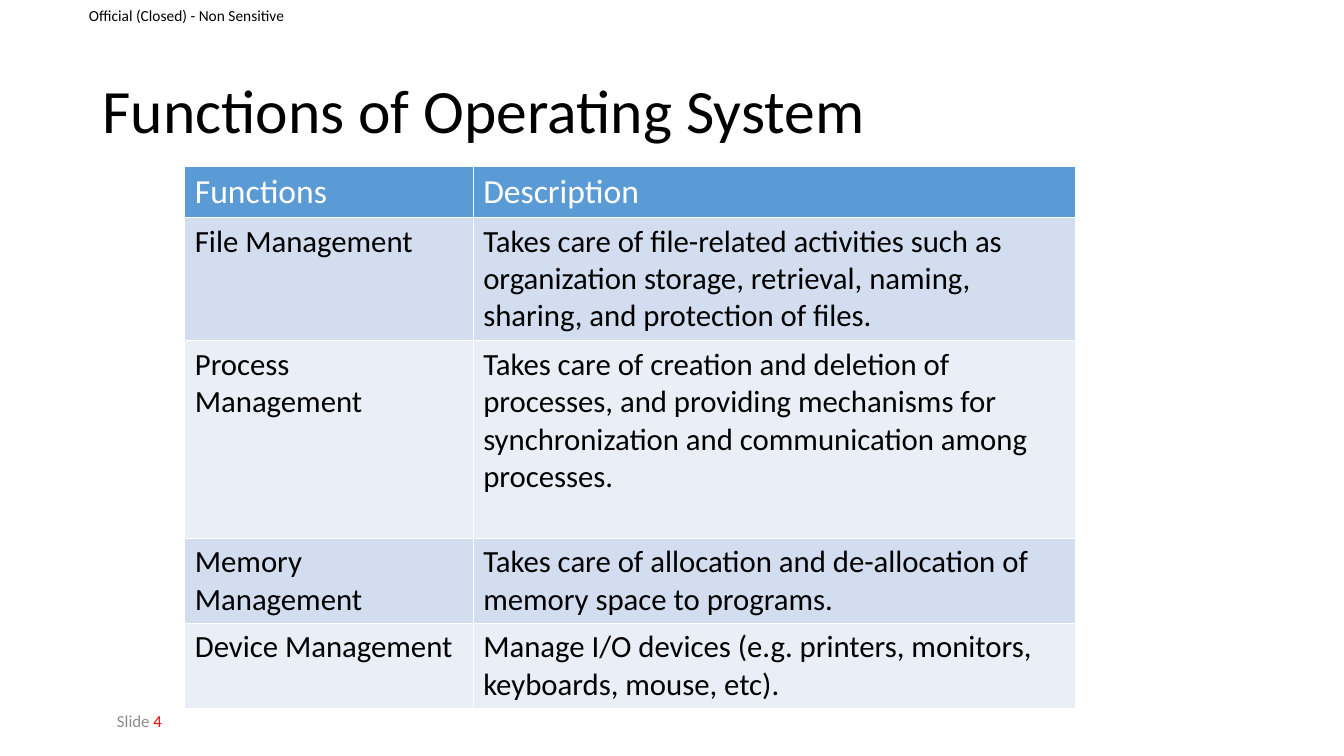
from dataclasses import dataclass

from lxml.etree import SubElement
from pptx import Presentation
from pptx.dml.color import RGBColor
from pptx.enum.text import MSO_ANCHOR, MSO_AUTO_SIZE, PP_ALIGN
from pptx.oxml.ns import qn
from pptx.slide import Slide
from pptx.table import _Cell as Cell
from pptx.util import Pt

FONT = "Calibri"
BLACK = "000000"
WHITE = "FFFFFF"
GREY = "8C8C8C"
RED = "FF0000"
HEADER_FILL = "5B9BD5"
BAND_FILLS = ("D2DEEF", "EAEFF7")
COLUMN_WIDTHS = (206, 430)


@dataclass(frozen=True)
class TableRow:
    function: str
    description: str
    height: float


@dataclass(frozen=True)
class ColoredText:
    text: str
    color: str


@dataclass(frozen=True)
class Label:
    texts: tuple[ColoredText, ...]
    left: float
    top: float
    width: float
    height: float
    indent: float
    size: float


ROWS = (
    TableRow("Functions", "Description", 36),
    TableRow(
        "File Management",
        "Takes care of file-related activities such as organization storage, "
        "retrieval, naming, sharing, and protection of files.",
        88,
    ),
    TableRow(
        "Process Management",
        "Takes care of creation and deletion of processes, and providing "
        "mechanisms for synchronization and communication among processes.",
        141,
    ),
    TableRow(
        "Memory Management",
        "Takes care of allocation and de-allocation of memory space to programs.",
        60.5,
    ),
    TableRow(
        "Device Management",
        "Manage I/O devices (e.g. printers, monitors, keyboards, mouse, etc).",
        60.5,
    ),
)

LABELS = (
    Label((ColoredText("Official (Closed) - Non Sensitive", BLACK),), 0, 0, 217, 22.5, 63.5, 11),
    Label((ColoredText("Slide ", GREY), ColoredText("4", RED)), 66, 500.5, 216, 29, 17.6, 12),
)


def rgb(color: str) -> RGBColor:
    return RGBColor.from_string(color)


def format_run(run, size: float, color: str) -> None:
    run.font.name = FONT
    run.font.size = Pt(size)
    run.font.bold = False
    run.font.color.rgb = rgb(color)


def add_title(slide: Slide, text: str) -> None:
    title = slide.shapes.title
    title.left, title.top, title.width, title.height = Pt(66), Pt(29), Pt(828), Pt(104)
    text_frame = title.text_frame
    text_frame.text = text
    text_frame.auto_size = MSO_AUTO_SIZE.NONE
    text_frame.vertical_anchor = MSO_ANCHOR.MIDDLE
    paragraph = text_frame.paragraphs[0]
    paragraph.alignment = PP_ALIGN.LEFT
    paragraph.line_spacing = 0.9
    format_run(paragraph.runs[0], 44, BLACK)


def add_label(slide: Slide, label: Label) -> None:
    shape = slide.shapes.add_textbox(
        Pt(label.left), Pt(label.top), Pt(label.width), Pt(label.height)
    )
    text_frame = shape.text_frame
    text_frame.word_wrap = True
    text_frame.vertical_anchor = MSO_ANCHOR.MIDDLE
    text_frame.margin_left = Pt(label.indent)
    text_frame.margin_top = text_frame.margin_right = text_frame.margin_bottom = 0
    for colored_text in label.texts:
        run = text_frame.paragraphs[0].add_run()
        run.text = colored_text.text
        format_run(run, label.size, colored_text.color)


def add_borders(cell: Cell, color: str, width: float) -> None:
    properties = cell._tc.get_or_add_tcPr()
    for position, side in enumerate(("a:lnL", "a:lnR", "a:lnT", "a:lnB")):
        line = SubElement(properties, qn(side), w=str(Pt(width)))
        fill = SubElement(line, qn("a:solidFill"))
        SubElement(fill, qn("a:srgbClr"), val=color)
        properties.insert(position, line)


def format_cell(cell: Cell, text: str, size: float, color: str, fill: str) -> None:
    cell.text_frame.text = text
    format_run(cell.text_frame.paragraphs[0].runs[0], size, color)
    cell.fill.solid()
    cell.fill.fore_color.rgb = rgb(fill)
    add_borders(cell, WHITE, 1)


def add_functions_table(slide: Slide) -> None:
    height = sum(row.height for row in ROWS)
    table = slide.shapes.add_table(
        len(ROWS), len(COLUMN_WIDTHS), Pt(132), Pt(119), Pt(sum(COLUMN_WIDTHS)), Pt(height)
    ).table
    table.horz_banding = False
    for column, width in zip(table.columns, COLUMN_WIDTHS):
        column.width = Pt(width)
    for index, row in enumerate(ROWS):
        table.rows[index].height = Pt(row.height)
        if index == 0:
            size, color, fill = 24, WHITE, HEADER_FILL
        else:
            size, color, fill = 22, BLACK, BAND_FILLS[(index - 1) % 2]
        for cell, text in zip(table.rows[index].cells, (row.function, row.description)):
            format_cell(cell, text, size, color, fill)


def main() -> None:
    presentation = Presentation()
    presentation.slide_width = Pt(960)
    presentation.slide_height = Pt(540)
    slide = presentation.slides.add_slide(presentation.slide_layouts[5])
    add_title(slide, "Functions of Operating System")
    add_functions_table(slide)
    for label in LABELS:
        add_label(slide, label)
    presentation.save("out.pptx")


if __name__ == "__main__":
    main()
